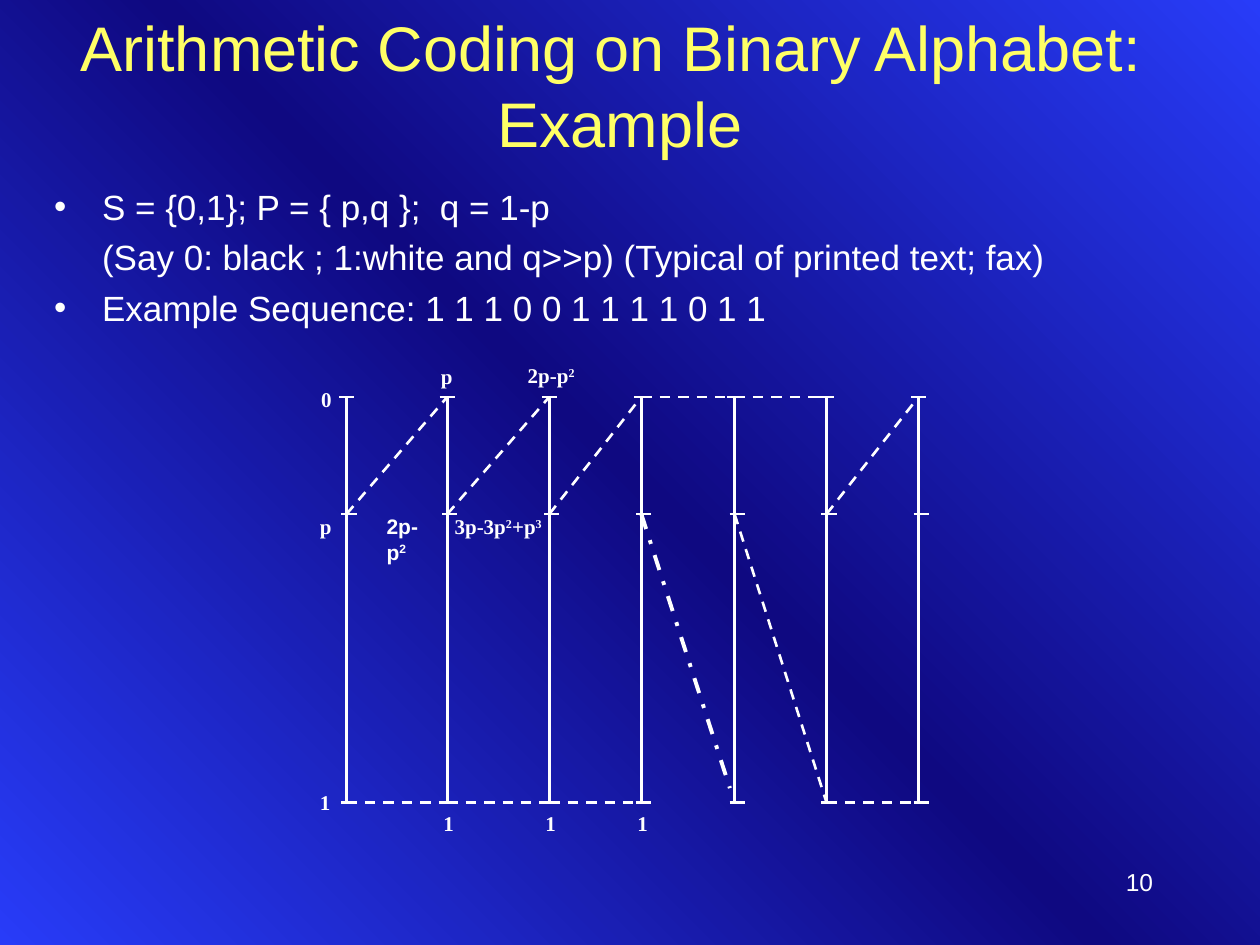
from copy import deepcopy
from dataclasses import dataclass
from itertools import accumulate

from lxml.etree import SubElement
from pptx import Presentation
from pptx.dml.color import RGBColor
from pptx.enum.dml import MSO_LINE_DASH_STYLE as Dash
from pptx.enum.shapes import MSO_CONNECTOR
from pptx.enum.text import MSO_ANCHOR, MSO_AUTO_SIZE, PP_ALIGN
from pptx.oxml.ns import qn
from pptx.util import Inches, Pt

WHITE, YELLOW = "FFFFFF", "FFFF66"
BRIGHT, DARK = "283CF8", "0F0981"
SANS, SERIF = "Arial", "Times New Roman"

# Diagram grid: one column per coding step, one row per interval boundary
AXES = list(accumulate((2.75, 0.8, 0.81, 0.73, 0.74, 0.73, 0.73)))
ROWS = (3.15, 4.08, 6.37)
TOP, SPLIT, BOTTOM = range(3)
TICK = 0.12


@dataclass
class Link:
    """Dashed line from one axis to the next."""
    col: int
    start: int
    end: int
    dash: Dash = Dash.DASH
    width: float = 1.5
    reach: float = 1


@dataclass
class Label:
    """Text beside a grid point; every second term is superscript."""
    col: int
    row: int
    dx: float
    dy: float
    width: float
    terms: tuple[str, ...]
    font: str = SERIF


LINKS = [
    *(Link(col, SPLIT, TOP) for col in (0, 1, 2, 5)),
    *(Link(col, BOTTOM, BOTTOM) for col in (0, 1, 2, 5)),
    *(Link(col, TOP, TOP) for col in (3, 4)),
    Link(3, SPLIT, BOTTOM, Dash.DASH_DOT, 2.25, 0.95),
    Link(4, SPLIT, BOTTOM),
]
LABELS = [
    Label(0, TOP, -0.3, -0.13, 0.28, ("0",)),
    Label(0, SPLIT, -0.31, -0.05, 0.29, ("p",)),
    Label(0, BOTTOM, -0.31, -0.15, 0.28, ("1",)),
    Label(1, TOP, -0.15, -0.31, 0.29, ("p",)),
    Label(1, SPLIT, -0.58, -0.05, 0.6, ("2p-p", "2"), SANS),
    Label(2, TOP, -0.27, -0.32, 0.57, ("2p-p", "2")),
    Label(2, SPLIT, -0.85, -0.05, 0.89, ("3p-3p", "2", "+p", "3")),
    *(Label(col, BOTTOM, -0.13, 0.01, 0.28, ("1",)) for col in (1, 2, 3)),
]
BULLETS = [
    ("S = {0,1}; P = { p,q };  q = 1-p", True),
    ("(Say 0: black ; 1:white and q>>p) (Typical of printed text; fax)", False),
    ("Example Sequence: 1 1 1 0 0 1 1 1 1 0 1 1", True),
]


def rgb(value: str) -> RGBColor:
    return RGBColor.from_string(value)


def place(shape, left: float, top: float, width: float, height: float) -> None:
    shape.left, shape.top = Inches(left), Inches(top)
    shape.width, shape.height = Inches(width), Inches(height)


def add_run(p, text: str, size: float, font: str = SANS,
            color: str = WHITE, bold: bool = False):
    r = p.add_run()
    r.text = text
    r.font.size, r.font.name, r.font.bold = Pt(size), font, bold
    r.font.color.rgb = rgb(color)
    return r


def add_line(s, x1: float, y1: float, x2: float, y2: float,
             width: float = 1.5, dash=None) -> None:
    line = s.shapes.add_connector(
        MSO_CONNECTOR.STRAIGHT, *map(Inches, (x1, y1, x2, y2)))
    line.line.color.rgb = rgb(WHITE)
    line.line.width = Pt(width)
    if dash is not None:
        line.line.dash_style = dash
    SubElement(line._element.spPr, qn("a:effectLst"))


def set_background(s) -> None:
    fill = s.background.fill
    fill.gradient()
    fill.gradient_angle = 45
    stops = fill.gradient_stops._gsLst
    stops.append(deepcopy(stops[-1]))
    for i, (stop, color) in enumerate(
            zip(fill.gradient_stops, (BRIGHT, DARK, BRIGHT))):
        stop.position = i / 2
        stop.color.rgb = rgb(color)


def add_title(s) -> None:
    title = s.shapes.title
    place(title, 0.42, 0.17, 9, 1)
    tf = title.text_frame
    tf.auto_size = MSO_AUTO_SIZE.NONE
    tf.vertical_anchor = MSO_ANCHOR.MIDDLE
    p = tf.paragraphs[0]
    p.alignment = PP_ALIGN.CENTER
    add_run(p, "Arithmetic Coding on Binary Alphabet: ", 36, color=YELLOW)
    p.add_line_break()
    add_run(p, "Example", 36, color=YELLOW)


def add_bullets(s) -> None:
    body = s.placeholders[1]
    place(body, 0.33, 1.42, 8.5, 1.33)
    tf = body.text_frame
    tf.auto_size = MSO_AUTO_SIZE.NONE
    for i, (text, bulleted) in enumerate(BULLETS):
        p = tf.add_paragraph() if i else tf.paragraphs[0]
        p.space_before = Pt(5 if i else 0)
        pPr = p._p.get_or_add_pPr()
        pPr.set("marL", str(Inches(0.38)))
        pPr.set("indent", str(Inches(-0.38 if bulleted else 0)))
        if bulleted:
            color = SubElement(pPr, qn("a:buClr"))
            SubElement(color, qn("a:srgbClr"), val=WHITE)
            SubElement(pPr, qn("a:buChar"), char="•")
        else:
            SubElement(pPr, qn("a:buNone"))
        add_run(p, text, 20)


def add_axis(s, x: float) -> None:
    add_line(s, x, ROWS[TOP], x, ROWS[BOTTOM])
    for row, y in enumerate(ROWS):
        left = x - TICK / 2 + (0 if row == TOP else 0.02)
        add_line(s, left, y, left + TICK, y)


def add_link(s, link: Link) -> None:
    x1, x2 = AXES[link.col], AXES[link.col + 1]
    y1, y2 = ROWS[link.start], ROWS[link.end]
    add_line(s, x1, y1, x1 + (x2 - x1) * link.reach,
             y1 + (y2 - y1) * link.reach, link.width, link.dash)


def add_label(s, label: Label) -> None:
    left, top = AXES[label.col] + label.dx, ROWS[label.row] + label.dy
    box = s.shapes.add_textbox(*map(Inches, (left, top, label.width, 0.3)))
    tf = box.text_frame
    tf.word_wrap = False
    for i, term in enumerate(label.terms):
        r = add_run(tf.paragraphs[0], term, 12, label.font, bold=True)
        if i % 2:
            r._r.get_or_add_rPr().set("baseline", "30000")


def add_page_number(s) -> None:
    box = s.shapes.add_textbox(*map(Inches, (7.17, 6.83, 2.08, 0.5)))
    box.text_frame.word_wrap = True
    p = box.text_frame.paragraphs[0]
    p.alignment = PP_ALIGN.RIGHT
    add_run(p, "10", 14)


def main() -> None:
    prs = Presentation()
    prs.slide_width, prs.slide_height = Inches(10), Inches(7.5)
    s = prs.slides.add_slide(prs.slide_layouts[1])
    set_background(s)
    add_title(s)
    add_bullets(s)
    # Interval diagram
    for x in AXES:
        add_axis(s, x)
    for link in LINKS:
        add_link(s, link)
    for label in LABELS:
        add_label(s, label)
    add_page_number(s)
    prs.save("out.pptx")


if __name__ == "__main__":
    main()
